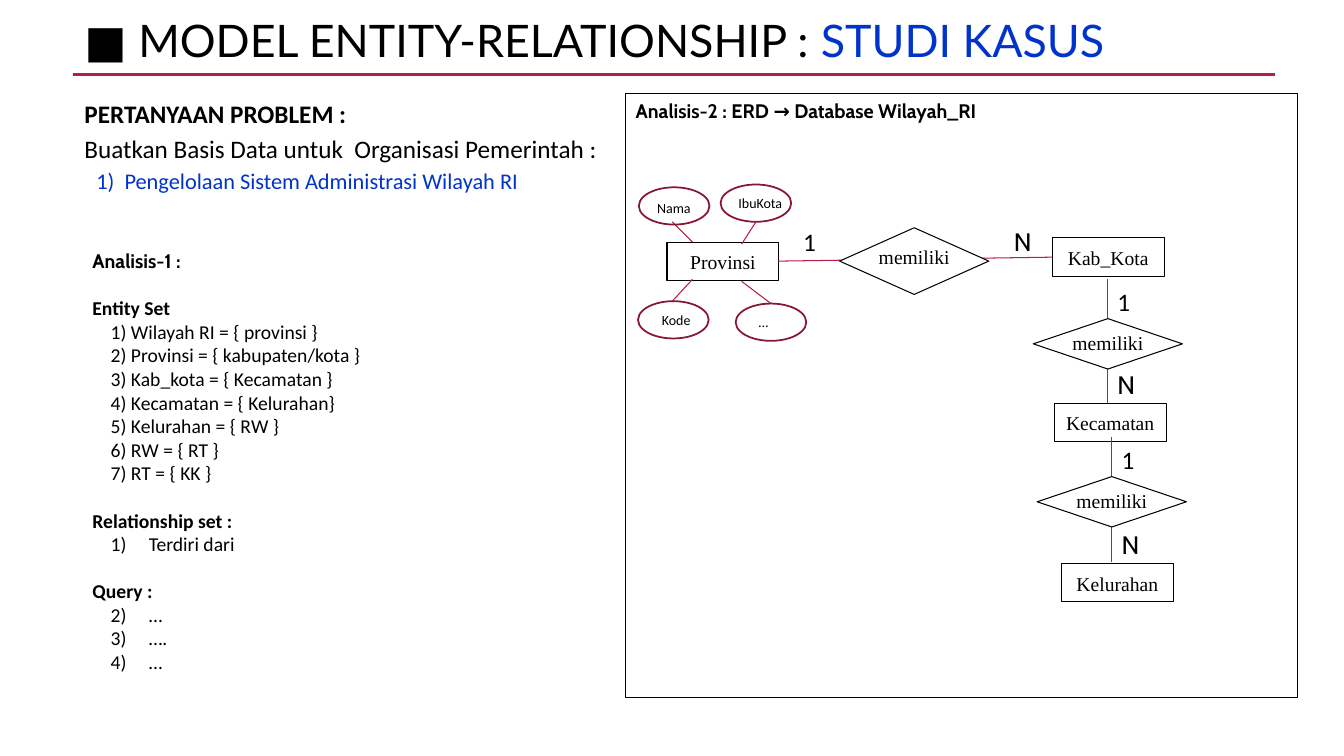
from dataclasses import dataclass

from lxml import etree
from pptx import Presentation
from pptx import util as u
from pptx.dml import color
from pptx.enum import shapes, text
from pptx.oxml import ns

BLACK, WHITE, BLUE = "000000", "FFFFFF", "0033CC"
CRIMSON, MAROON = "B71E42", "871631"
KIND = shapes.MSO_SHAPE


@dataclass
class Box:
    left: float
    top: float
    width: float
    height: float


@dataclass
class Node:
    """A captioned shape of the diagram: an entity or a relationship."""
    caption: str
    kind: int
    box: Box
    top_inset: float = 0


@dataclass
class Link:
    x1: float
    y1: float
    x2: float
    y2: float
    width: float = 0.75


@dataclass
class Label:
    caption: str
    box: Box
    size: float = 18
    font: str = "Calibri"


@dataclass
class Attribute:
    left: float
    top: float
    label: Label
    link: Link


@dataclass
class Line:
    """One paragraph of a text column."""
    caption: str
    size: float = 14
    font: str = "Calibri"
    hue: str = BLACK
    bold: bool = False
    indent: float = 0
    before: float = 0
    after: float = 0
    number: int = 0  # first number of the automatic list, 0 for no list


def entity(caption: str, left: float, top: float) -> Node:
    return Node(caption, KIND.RECTANGLE, Box(left, top, 2.82, 0.97), 0.2)


def relationship(left: float, top: float, height: float) -> Node:
    return Node("memiliki", KIND.DIAMOND, Box(left, top, 3.76, height))


def cardinality(caption: str, left: float, top: float) -> Label:
    if caption == "N":
        return Label(caption, Box(left, top, 1.02, 1.02), font="Cabin")
    return Label(caption, Box(left, top, 0.84, 1.02))


def attribute(caption: str, oval: tuple, label: tuple, link: Link) -> Attribute:
    left, top, width = label
    return Attribute(*oval, Label(caption, Box(left, top, width, 0.69), 10), link)


ENTITY_SETS = [
    "Wilayah RI = { provinsi }", "Provinsi = { kabupaten/kota }",
    "Kab_kota = { Kecamatan }", "Kecamatan = { Kelurahan}",
    "Kelurahan = { RW }", "RW = { RT }", "RT = { KK }",
]
PROBLEM = [
    Line("PERTANYAAN PROBLEM :", 18, bold=True, after=3),
    Line("Buatkan Basis Data untuk  Organisasi Pemerintah :", 18, after=3),
    Line("1)  Pengelolaan Sistem Administrasi Wilayah RI", 16, hue=BLUE, indent=0.3, after=3),
]
ANALYSIS = [
    Line("Analisis-1 :", font="Cabin", bold=True),
    Line("Entity Set", bold=True, before=17),
    *[Line(f"{i}) {item}", indent=0.46) for i, item in enumerate(ENTITY_SETS, 1)],
    Line("Relationship set :", bold=True, before=17),
    Line("Terdiri dari", indent=1.42, number=1),
    Line("Query :", bold=True, before=17),
    *[Line(item, indent=1.42, number=2) for item in ("…", "….", "…")],
]
ENTITIES = [
    entity("Provinsi", 16.81, 6.1), entity("Kab_Kota", 26.52, 5.99),
    entity("Kecamatan", 26.57, 10.16), entity("Kelurahan", 26.75, 14.2),
]
RELATIONSHIPS = [
    relationship(21.16, 5.74, 1.68),
    relationship(26.04, 8.03, 1.27),
    relationship(26.14, 12.01, 1.27),
]
ENTITY_LINKS = [
    Link(19.61, 6.58, 26.52, 6.48),
    Link(27.91, 10.16, 27.91, 7.04),
    Link(28.02, 14.15, 28.02, 11.02),
]
CARDINALITIES = [
    cardinality("1", 19.99, 5.59), cardinality("N", 25.3, 5.59),
    cardinality("1", 27.91, 7.09), cardinality("N", 27.91, 9.19),
    cardinality("1", 28.02, 11.07), cardinality("N", 28.02, 13.21),
]
ATTRIBUTES = [
    attribute("Nama", (16.1, 4.72), (16.31, 4.9, 1.37), Link(17.45, 6.1, 16.94, 5.59)),
    attribute("IbuKota", (18.16, 4.65), (18.36, 4.78, 1.65), Link(18.69, 6.15, 19.05, 5.59)),
    attribute("Kode", (16.08, 7.59), (16.43, 7.72, 1.24), Link(16.94, 7.59, 17.45, 7.04)),
    attribute("…", (18.54, 7.65), (18.87, 7.77, 0.79), Link(19.43, 7.65, 18.69, 7.09)),
]


def rgb(value: str) -> color.RGBColor:
    return color.RGBColor.from_string(value)


def extent(box: Box) -> list:
    return [u.Cm(side) for side in (box.left, box.top, box.width, box.height)]


def style(span, size: float, font: str, hue: str = BLACK, bold: bool = False) -> None:
    span.font.size = u.Pt(size)
    span.font.name = font
    span.font.bold = bold
    span.font.color.rgb = rgb(hue)


def draw_shape(page, kind: int, box: Box, line: str, width: float, fill: str = ""):
    shape = page.shapes.add_shape(kind, *extent(box))
    shape.shadow.inherit = False
    if fill:
        shape.fill.solid()
        shape.fill.fore_color.rgb = rgb(fill)
    else:
        shape.fill.background()
    shape.line.color.rgb = rgb(line)
    shape.line.width = u.Pt(width)
    return shape


def draw_link(page, link: Link) -> None:
    ends = [u.Cm(value) for value in (link.x1, link.y1, link.x2, link.y2)]
    connector = page.shapes.add_connector(shapes.MSO_CONNECTOR.STRAIGHT, *ends)
    connector.line.color.rgb = rgb(CRIMSON)
    connector.line.width = u.Pt(link.width)
    etree.SubElement(connector.element.spPr, ns.qn("a:effectLst"))


def draw_node(page, node: Node) -> None:
    frame = draw_shape(page, node.kind, node.box, BLACK, 0.75, WHITE).text_frame
    frame.margin_left = frame.margin_right = frame.margin_bottom = 0
    frame.margin_top = u.Cm(node.top_inset)
    frame.vertical_anchor = text.MSO_ANCHOR.TOP
    frame.text = node.caption
    para = frame.paragraphs[0]
    para.alignment = text.PP_ALIGN.CENTER
    style(para.runs[0], 14, "Times New Roman")


def draw_label(page, label: Label) -> None:
    frame = page.shapes.add_textbox(*extent(label.box)).text_frame
    frame.word_wrap = False
    frame.text = label.caption
    style(frame.paragraphs[0].runs[0], label.size, label.font)


def write_lines(frame, lines: list[Line]) -> None:
    frame.word_wrap = True
    frame.vertical_anchor = text.MSO_ANCHOR.TOP
    frame.text = "\n".join(line.caption for line in lines)
    for para, line in zip(frame.paragraphs, lines):
        para.alignment = text.PP_ALIGN.LEFT
        para.space_before = u.Pt(line.before)
        para.space_after = u.Pt(line.after)
        style(para.runs[0], line.size, line.font, line.hue, line.bold)
        properties = para._p.get_or_add_pPr()
        properties.set("marL", str(u.Cm(line.indent)))
        if line.number:
            properties.set("indent", str(u.Cm(-0.96)))
            etree.SubElement(properties, ns.qn("a:buAutoNum"),
                             type="arabicParenR", startAt=str(line.number))


def draw_title(page) -> None:
    draw_link(page, Link(1.83, 1.88, 32.13, 1.88, 2.5))
    frame = page.shapes.add_textbox(*extent(Box(1.88, 0.36, 31.24, 1.37))).text_frame
    frame.word_wrap = True
    para = frame.paragraphs[0]
    para.line_spacing = 0.9
    for caption, hue in (("■ MODEL ENTITY-RELATIONSHIP : ", BLACK), ("STUDI KASUS", BLUE)):
        span = para.add_run()
        span.text = caption
        style(span, 32, "Lato", hue)


def draw_diagram(page) -> None:
    panel = draw_shape(page, KIND.RECTANGLE, Box(15.77, 2.36, 16.92, 15.21), BLACK, 0.75)
    write_lines(panel.text_frame, [
        Line("Analisis-2 : ERD → Database Wilayah_RI", font="Cabin", bold=True)])
    for node in ENTITIES:
        draw_node(page, node)
    for link in ENTITY_LINKS:
        draw_link(page, link)
    for node in RELATIONSHIPS:
        draw_node(page, node)
    for label in CARDINALITIES:
        draw_label(page, label)
    for item in ATTRIBUTES:
        draw_label(page, item.label)
        draw_link(page, item.link)
        draw_shape(page, KIND.OVAL, Box(item.left, item.top, 1.78, 0.94), MAROON, 1.25)


def main() -> None:
    deck = Presentation()
    deck.slide_width, deck.slide_height = u.Cm(33.87), u.Cm(19.05)
    page = deck.slides.add_slide(deck.slide_layouts[6])
    draw_title(page)
    for box, lines in ((Box(2.08, 6.15, 12.12, 11.63), ANALYSIS),
                       (Box(1.88, 2.36, 13.89, 2.77), PROBLEM)):
        write_lines(page.shapes.add_textbox(*extent(box)).text_frame, lines)
    draw_diagram(page)
    deck.save("out.pptx")


if __name__ == "__main__":
    main()
